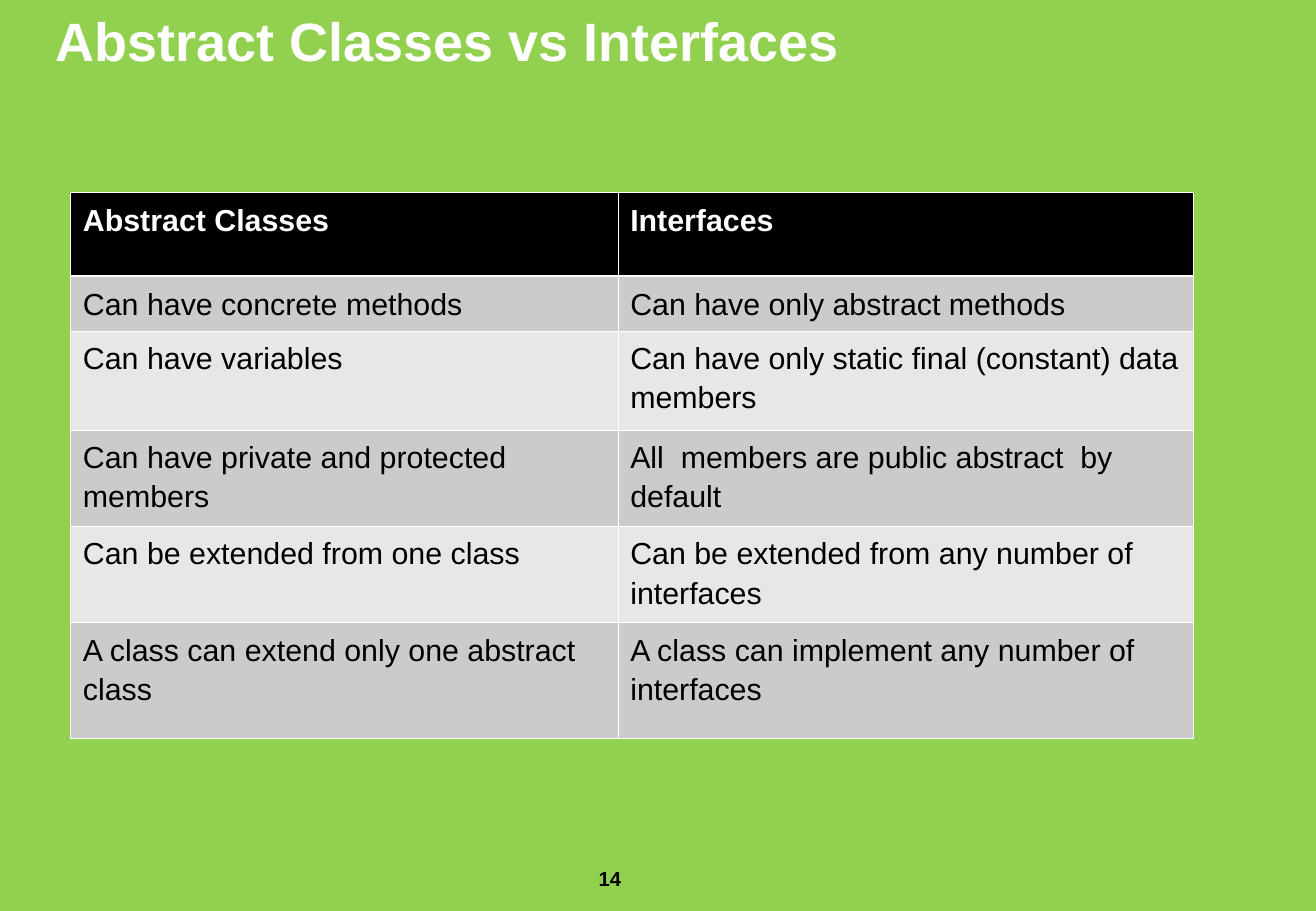
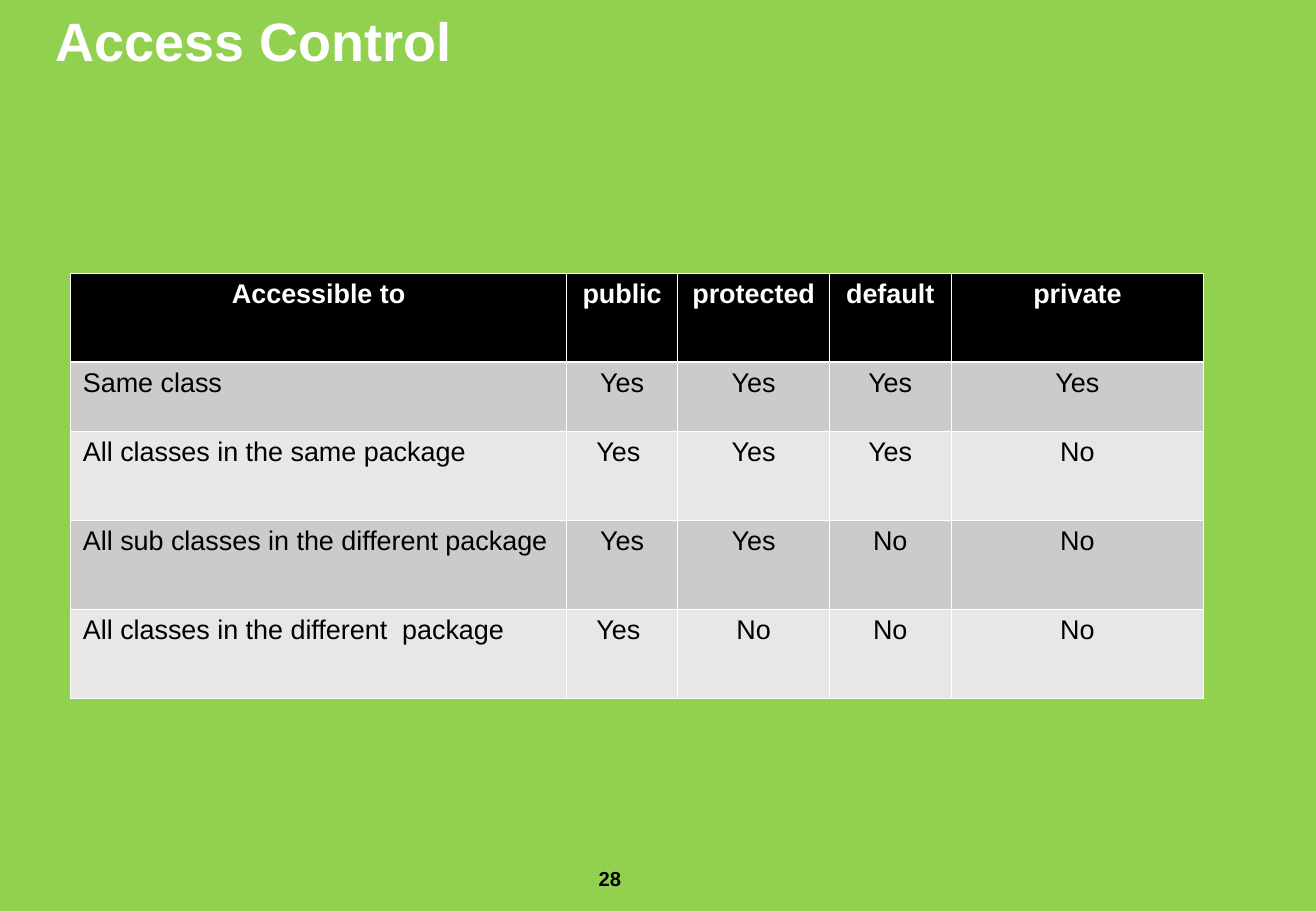
from lxml.etree import SubElement
from pptx import Presentation
from pptx.dml.color import RGBColor
from pptx.enum.text import MSO_ANCHOR, MSO_AUTO_SIZE, PP_ALIGN
from pptx.oxml.ns import qn
from pptx.util import Inches, Pt

# Shared look
GREEN, WHITE, BLACK = "92D050", "FFFFFF", "000000"
BANDS = ("CBCBCB", "E7E7E7")
FONT = "Arial"
THIN, THICK = 0.45, 1.47
TITLE = {"size": Pt(32), "bold": True}
NUMBER = {"size": Pt(12), "bold": True}
LEFT, CENTER = PP_ALIGN.LEFT, PP_ALIGN.CENTER

# Grid of twelve columns and rows to the inch
SLIDE_SIZE = (130.08, 90)
TITLE_BOX = (4.3, 0.1, 106, 12.7)
NUMBER_BOX = (58, 85, 11, 6.2)
TABLE_LEFT = 7


def grid(n):
    return Inches(n / 12)


def color(value):
    return RGBColor.from_string(value)


def set_attrs(obj, values):
    for name, value in values.items():
        setattr(obj, name, value)


def write(tf, text, font, ink, para):
    p = tf.paragraphs[0]
    set_attrs(p, para)
    r = p.add_run()
    r.text = text
    set_attrs(r.font, {"name": FONT, **font})
    r.font.color.rgb = color(ink)


def place(sp, box):
    set_attrs(sp, dict(zip(("left", "top", "width", "height"), map(grid, box))))
    set_attrs(sp.text_frame, {"word_wrap": True, "auto_size": MSO_AUTO_SIZE.NONE,
                              "vertical_anchor": MSO_ANCHOR.TOP})


def add_slide(prs, title, number):
    s = prs.slides.add_slide(prs.slide_layouts[5])
    place(s.shapes.title, TITLE_BOX)
    write(s.shapes.title.text_frame, title, TITLE, WHITE, {"alignment": LEFT})
    sp = s.shapes.add_textbox(0, 0, 0, 0)
    place(sp, NUMBER_BOX)
    write(sp.text_frame, number, NUMBER, BLACK, {"space_before": Pt(7.5)})
    return s


def set_borders(cell, widths):
    tcPr = cell._tc.get_or_add_tcPr()
    for side, width in zip("LRTB", widths):
        ln = SubElement(tcPr, qn(f"a:ln{side}"), w=str(Pt(width)))
        fill = SubElement(ln, qn("a:solidFill"))
        SubElement(fill, qn("a:srgbClr"), val=WHITE)


def add_table(s, top, cols, rows, texts, size, para, aligns):
    """aligns gives the alignment of the header, first column and other cells."""
    frame = s.shapes.add_table(len(rows), len(cols), grid(TABLE_LEFT), grid(top),
                               grid(sum(cols)), grid(sum(rows)))
    table = frame.table
    set_attrs(table, {"first_row": False, "horz_banding": False})
    for col, width in zip(table.columns, cols):
        col.width = grid(width)
    for i, (row, height) in enumerate(zip(table.rows, rows)):
        row.height = grid(height)
        head = i == 0
        for j, cell in enumerate(row.cells):
            # Heavier rule between the header and the first band
            set_borders(cell, (THIN, THIN, THICK if i == 1 else THIN,
                               THICK if head else THIN))
            cell.fill.solid()
            cell.fill.fore_color.rgb = color(BLACK if head else BANDS[(i - 1) % 2])
            align = aligns[0] if head else aligns[min(j, 1) + 1]
            write(cell.text_frame, texts[i][j], {"size": Pt(size), "bold": head},
                  WHITE if head else BLACK, {"alignment": align, **para})


def main():
    prs = Presentation()
    prs.slide_width, prs.slide_height = map(grid, SLIDE_SIZE)
    background = prs.slide_master.background.fill
    background.solid()
    background.fore_color.rgb = color(GREEN)

    # Comparison of classes and interfaces
    s = add_slide(prs, "Abstract Classes vs Interfaces", "14")
    add_table(s, 19, (54.1, 56.9), (8.3, 5.4, 9.8, 9.5, 9.5, 11.5), (
        ("Abstract Classes", "Interfaces"),
        ("Can have concrete methods", "Can have only abstract methods"),
        ("Can have variables", "Can have only static final (constant) data members"),
        ("Can have private and protected members",
         "All  members are public abstract  by default"),
        ("Can be extended from one class",
         "Can be extended from any number of interfaces"),
        ("A class can extend only one abstract class",
         "A class can implement any number of interfaces"),
    ), 18, {"line_spacing": 1.15, "space_after": Pt(10)}, (LEFT, LEFT, LEFT))

    # Access of each modifier
    s = add_slide(prs, "Access Control", "28")
    add_table(s, 27, (49, 11, 15, 12, 25), (8.8, 6.8, 8.8, 8.8, 8.8), (
        ("Accessible to", "public", "protected", "default", "private"),
        ("Same class", "Yes", "Yes", "Yes", "Yes"),
        ("All classes in the same package", "Yes ", "Yes", "Yes", "No"),
        ("All sub classes in the different package", "Yes", "Yes", "No", "No"),
        ("All classes in the different  package", "Yes ", "No", "No", "No"),
    ), 16, {}, (CENTER, LEFT, CENTER))

    prs.save("out.pptx")


if __name__ == "__main__":
    main()
